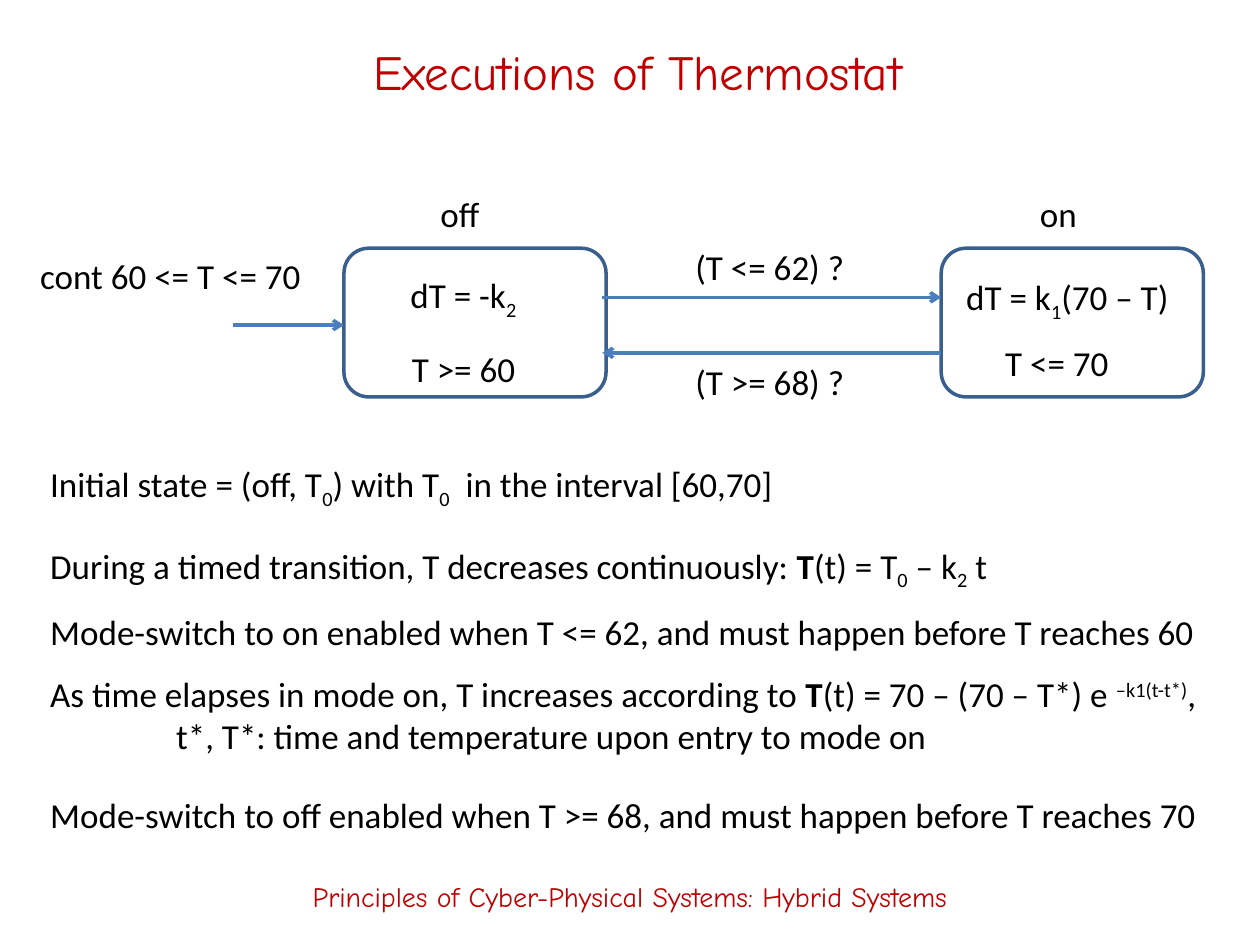
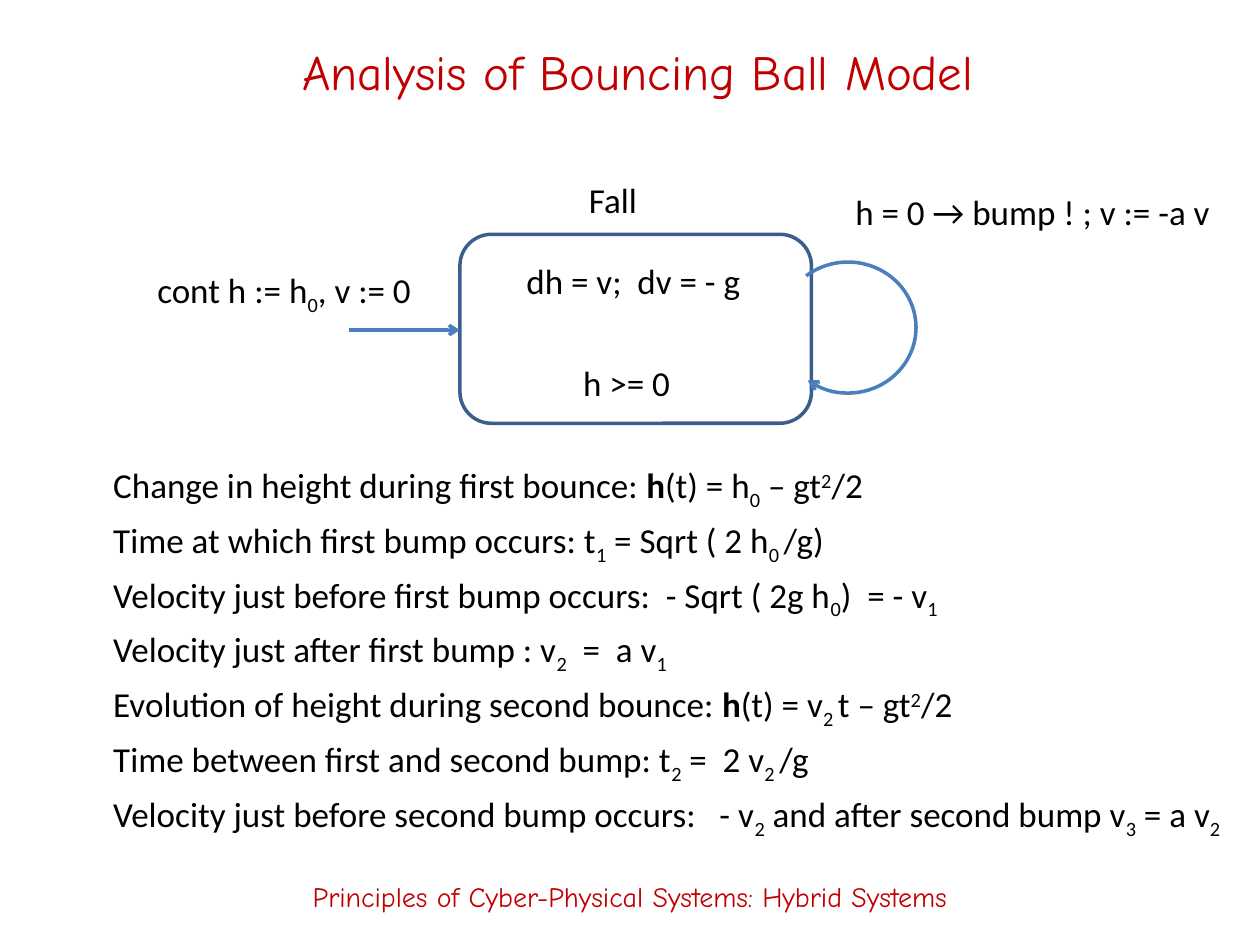
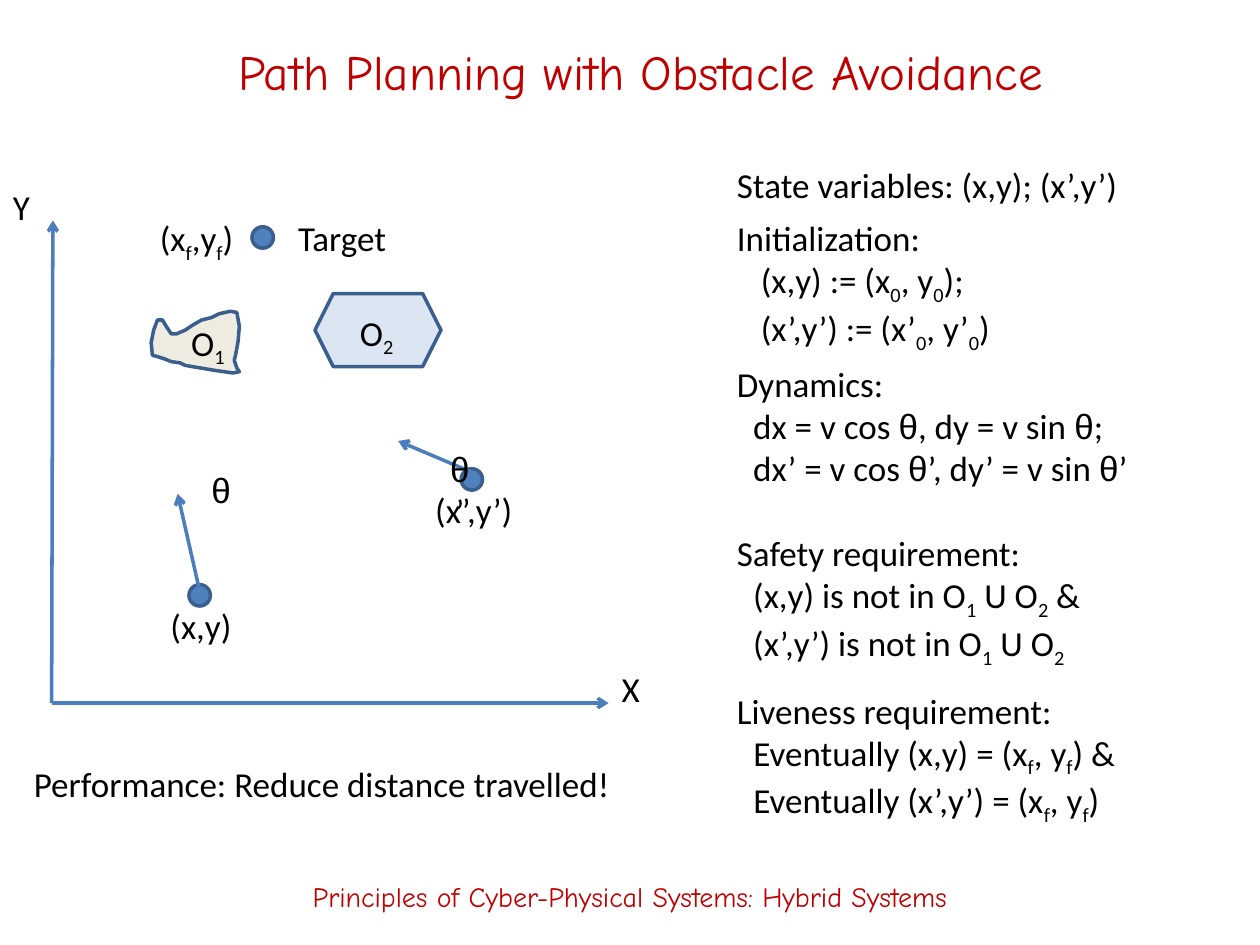
from dataclasses import dataclass
from itertools import groupby

from lxml.etree import SubElement
from pptx import Presentation
from pptx.dml.color import RGBColor
from pptx.enum.shapes import MSO_CONNECTOR, MSO_SHAPE as Preset
from pptx.enum.text import MSO_ANCHOR as Anchor, MSO_AUTO_SIZE as AutoSize, PP_ALIGN as Align
from pptx.oxml.ns import qn
from pptx.shapes.base import BaseShape
from pptx.slide import Slide
from pptx.text.text import TextFrame, _Paragraph as Paragraph
from pptx.util import Inches, Pt

COLORS = {
    "heading": "C00000",
    "text": "000000",
    "arrow": "4B7EBC",
    "outline": "3A5F8C",
    "dot": "4F81BD",
    "hexagon": "DCE6F2",
    "blob": "EEECE1",
}
HEADING_FONT, BODY_FONT, GREEK_FONT = "Comic Neue", "Calibri", "Arial"
BODY_SIZE = 20
FOOTER = "Principles of Cyber-Physical Systems: Hybrid Systems"
DOT_SIZE = 0.17
# Inline marks: ~subscript~, ^superscript^, |bold|
BASELINES = {"~": "-25000", "^": "30000"}
BOLD = "|"


@dataclass(frozen=True)
class Label:
    """Body text; lines after the first are indented by `indent` inches."""
    left: float
    top: float
    width: float
    lines: tuple[str, ...]
    align: Align = Align.LEFT
    indent: float = 0
    wrap: bool = False


@dataclass(frozen=True)
class Mode:
    """A state of a hybrid automaton."""
    left: float
    top: float
    width: float
    height: float


@dataclass(frozen=True)
class Arrow:
    start: tuple[float, float]
    end: tuple[float, float]


def color(name: str) -> RGBColor:
    return RGBColor.from_string(COLORS[name])


def split_marks(markup: str) -> list[tuple[str, str]]:
    """Return (style, text) pieces; theta is a style of its own."""
    mode, styled = "", []
    for char in markup:
        if char in BASELINES or char == BOLD:
            mode = "" if mode else char
        else:
            styled.append(("θ" if char == "θ" else mode, char))
    return [(style, "".join(char for _, char in group))
            for style, group in groupby(styled, key=lambda pair: pair[0])]


def write(paragraph: Paragraph, markup: str, font: str, size: int, ink: str,
          align: Align) -> None:
    paragraph.alignment = align
    paragraph.font.name = font
    paragraph.font.size = Pt(size)
    paragraph.font.color.rgb = color(ink)
    for style, text in split_marks(markup):
        run = paragraph.add_run()
        run.text = text
        if style in BASELINES:
            run._r.get_or_add_rPr().set("baseline", BASELINES[style])
        elif style == BOLD:
            run.font.bold = True
        elif style == "θ":
            run.font.name = GREEK_FONT


def add_frame(slide: Slide, left: float, top: float, width: float, height: float) -> TextFrame:
    return slide.shapes.add_textbox(
        Inches(left), Inches(top), Inches(width), Inches(height)).text_frame


def add_heading(slide: Slide, text: str, left: float, top: float, width: float,
                size: int) -> None:
    frame = add_frame(slide, left, top, width, 0.78)
    frame.word_wrap = True
    frame.vertical_anchor = Anchor.MIDDLE
    write(frame.paragraphs[0], text, HEADING_FONT, size, "heading", Align.CENTER)


def add_label(slide: Slide, label: Label) -> None:
    height = round(0.1 + 0.335 * len(label.lines), 2)
    frame = add_frame(slide, label.left, label.top, label.width, height)
    frame.word_wrap = label.wrap
    frame.auto_size = AutoSize.SHAPE_TO_FIT_TEXT
    for number, line in enumerate(label.lines):
        paragraph = frame.add_paragraph() if number else frame.paragraphs[0]
        if number and label.indent:
            paragraph._p.get_or_add_pPr().set("marL", str(Inches(label.indent)))
        write(paragraph, line, BODY_FONT, BODY_SIZE, "text", label.align)


def add_labels(slide: Slide, labels: list[Label]) -> None:
    for label in labels:
        add_label(slide, label)


def style_shape(shape: BaseShape, line: str, fill: str | None = None) -> None:
    shape.shadow.inherit = False
    shape.line.color.rgb = color(line)
    shape.line.width = Pt(2)
    if fill:
        shape.fill.solid()
        shape.fill.fore_color.rgb = color(fill)
    else:
        shape.fill.background()


def add_preset(slide: Slide, preset: Preset, left: float, top: float, width: float,
               height: float, line: str = "outline", fill: str | None = None) -> BaseShape:
    shape = slide.shapes.add_shape(
        preset, Inches(left), Inches(top), Inches(width), Inches(height))
    style_shape(shape, line, fill)
    return shape


def add_mode(slide: Slide, mode: Mode) -> None:
    add_preset(slide, Preset.ROUNDED_RECTANGLE, mode.left, mode.top, mode.width, mode.height)


def add_dot(slide: Slide, left: float, top: float) -> None:
    add_preset(slide, Preset.OVAL, left, top, DOT_SIZE, DOT_SIZE, fill="dot")


def point_end(shape: BaseShape) -> None:
    """Put an arrowhead at the end of the shape's line."""
    SubElement(shape.line._get_or_add_ln(), qn("a:tailEnd"), type="arrow")


def add_arrow(slide: Slide, arrow: Arrow) -> None:
    connector = slide.shapes.add_connector(
        MSO_CONNECTOR.STRAIGHT, *map(Inches, arrow.start + arrow.end))
    connector.line.color.rgb = color("arrow")
    connector.line.width = Pt(2)
    point_end(connector)
    SubElement(connector._element.spPr, qn("a:effectLst"))


def add_blob(slide: Slide, outline: list[tuple[float, float]]) -> None:
    start, *rest = [(Inches(x), Inches(y)) for x, y in outline]
    builder = slide.shapes.build_freeform(*start)
    builder.add_line_segments(rest, close=True)
    style_shape(builder.convert_to_shape(), "outline", "blob")


def start_slide(deck: Presentation, title: str, left: float = 0.77,
                width: float = 8.58) -> Slide:
    slide = deck.slides.add_slide(deck.slide_layouts[6])
    add_heading(slide, title, left, 0.17, width, 28)
    add_heading(slide, FOOTER, 0, 6.72, 10, 16)
    return slide


def thermostat(deck: Presentation) -> None:
    slide = start_slide(deck, "Executions of Thermostat")
    off, on = (Mode(left, 1.97, 2.08, 1.18) for left in (2.73, 7.47))
    for mode in (off, on):
        add_mode(slide, mode)
    for arrow in (Arrow((1.85, 2.58), (off.left, 2.58)),
                  Arrow((4.78, 2.36), (on.left, 2.36)),
                  Arrow((on.left, 2.8), (4.78, 2.8))):
        add_arrow(slide, arrow)
    add_labels(slide, [
        Label(3.39, 1.48, 0.52, ("off",), Align.CENTER),
        Label(8.15, 1.48, 0.5, ("on",), Align.CENTER),
        Label(0.22, 1.97, 2.29, ("cont 60 <= T <= 70",)),
        Label(5.42, 1.9, 1.39, ("(T <= 62) ?",)),
        Label(5.42, 2.81, 1.39, ("(T >= 68) ?",)),
        Label(3.16, 2.12, 1.06, ("dT = -k~2~",)),
        Label(3.17, 2.71, 1.03, ("T >= 60",)),
        Label(7.57, 2.14, 1.88, ("dT = k~1~(70 – T)",)),
        Label(7.88, 2.66, 1.03, ("T <= 70",)),
        Label(0.3, 3.62, 6.02, ("Initial state = (off, T~0~) with T~0~  in the interval [60,70]",)),
        Label(0.3, 4.27, 7.74, ("During a timed transition, T decreases continuously: "
                                "|T|(t) = T~0~ – k~2~ t",)),
        Label(0.3, 4.8, 9.42, ("Mode-switch to on enabled when T <= 62, "
                               "and must happen before T reaches 60",)),
        Label(0.3, 5.29, 9.54, ("As time elapses in mode on, T increases according to "
                                "|T|(t) = 70 – (70 – T*) e ^–k1(t-t*)^,",
                                "t*, T*: time and temperature upon entry to mode on"),
              indent=1, wrap=True),
        Label(0.3, 6.25, 9.42, ("Mode-switch to off enabled when T >= 68, "
                                "and must happen before T reaches 70",)),
    ])


def bouncing_ball(deck: Presentation) -> None:
    slide = start_slide(deck, "Analysis of Bouncing Ball Model")
    fall = Mode(3.65, 1.86, 2.79, 1.5)
    add_mode(slide, fall)
    add_arrow(slide, Arrow((2.77, 2.62), (fall.left, 2.62)))
    bump = add_preset(slide, Preset.ARC, 6.19, 2.08, 1.08, 1.04, line="arrow")
    bump.adjustments[0], bump.adjustments[1] = 138.61, 76.33
    point_end(bump)
    add_labels(slide, [
        Label(4.57, 1.37, 0.59, ("Fall",), Align.CENTER),
        Label(1.15, 2.08, 2.24, ("cont h := h~0~, v := 0",)),
        Label(4.08, 2.01, 1.97, ("dh = v;  dv = - g",)),
        Label(4.53, 2.82, 0.9, ("h >= 0",)),
        Label(6.69, 1.46, 3.06, ("h = 0 → bump ! ; v := -a v",)),
    ])
    facts = [
        (6.38, "Change in height during first bounce: |h|(t) = h~0~ – gt^2^/2"),
        (5.99, "Time at which first bump occurs: t~1~ = Sqrt ( 2 h~0 ~/g)"),
        (6.85, "Velocity just before first bump occurs:  - Sqrt ( 2g h~0~)  = - v~1~"),
        (4.75, "Velocity just after first bump : v~2~  =  a v~1~"),
        (7.01, "Evolution of height during second bounce: |h|(t) = v~2 ~t – gt^2^/2"),
        (5.89, "Time between first and second bump: t~2~ =  2 v~2 ~/g"),
        (9.17, "Velocity just before second bump occurs:   - v~2~ "
               "and after second bump v~3~ = a v~2~"),
    ]
    add_labels(slide, [Label(0.8, 3.63 + 0.435 * row, width, (fact,))
                       for row, (width, fact) in enumerate(facts)])


def path_planning(deck: Presentation) -> None:
    slide = start_slide(deck, "Path Planning with Obstacle Avoidance", 0.67, 8.83)
    for left, top in ((1.5, 4.64), (3.66, 3.72), (2, 1.8)):
        add_dot(slide, left, top)
    origin = (0.41, 5.58)
    for arrow in (Arrow(origin, (4.83, 5.58)), Arrow(origin, (0.42, 1.75)),
                  Arrow((1.58, 4.67), (1.41, 3.92)), Arrow((3.75, 3.75), (3.16, 3.5))):
        add_arrow(slide, arrow)
    add_preset(slide, Preset.HEXAGON, 2.5, 2.33, 1, 0.58, fill="hexagon")
    add_blob(slide, [
        (1.25, 2.54), (1.22, 2.62), (1.2, 2.72), (1.21, 2.82), (1.25, 2.83), (1.31, 2.85),
        (1.36, 2.87), (1.43, 2.88), (1.47, 2.9), (1.59, 2.92), (1.71, 2.94), (1.85, 2.96),
        (1.9, 2.95), (1.88, 2.92), (1.86, 2.86), (1.87, 2.82), (1.89, 2.71), (1.9, 2.59),
        (1.88, 2.48), (1.83, 2.47), (1.74, 2.49), (1.68, 2.52), (1.6, 2.54), (1.53, 2.58),
        (1.47, 2.62), (1.4, 2.65), (1.36, 2.65), (1.32, 2.59), (1.29, 2.54)])
    add_labels(slide, [Label(left, top, width, (text,), Align.CENTER) for left, top, width, text in (
        (4.83, 5.25, 0.35, "X"),
        (0, 1.42, 0.34, "Y"),
        (1.25, 4.75, 0.69, "(x,y)"),
        (1.58, 3.67, 0.35, "θ"),
        (3.35, 3.83, 0.82, "(x’,y’)"),
        (3.44, 3.5, 0.42, "θ’"),
        (2.26, 1.67, 0.91, "Target"),
        (1.16, 1.67, 0.8, "(x~f~,y~f~)"),
        (2.75, 2.42, 0.48, "O~2~"),
        (1.41, 2.5, 0.48, "O~1~"),
    )])
    add_labels(slide, [
        Label(5.75, 1.25, 3.25, ("State variables: (x,y); (x’,y’)",)),
        Label(5.75, 1.67, 2.25, ("Initialization:", "(x,y) := (x~0~, y~0~);",
                                 "(x’,y’) := (x’~0~, y’~0~)"), indent=0.19),
        Label(5.75, 2.83, 3.3, ("Dynamics:", "dx = v cos θ, dy = v sin θ;",
                                "dx’ = v cos θ’, dy’ = v sin θ’"), indent=0.13),
        Label(5.75, 4.17, 3.06, ("Safety requirement:", "(x,y) is not in O~1~ U O~2~ &",
                                 "(x’,y’) is not in O~1~ U O~2~"), indent=0.13),
        Label(5.75, 5.42, 3.28, ("Liveness requirement:", "Eventually (x,y) = (x~f~, y~f~) &",
                                 "Eventually (x’,y’) = (x~f~, y~f~)"), indent=0.13),
        Label(0.17, 6, 4.82, ("Performance: Reduce distance travelled!",)),
    ])


def main() -> None:
    deck = Presentation()
    deck.slide_width, deck.slide_height = Inches(10), Inches(7.5)
    for build in (thermostat, bouncing_ball, path_planning):
        build(deck)
    deck.save("out.pptx")


if __name__ == "__main__":
    main()
